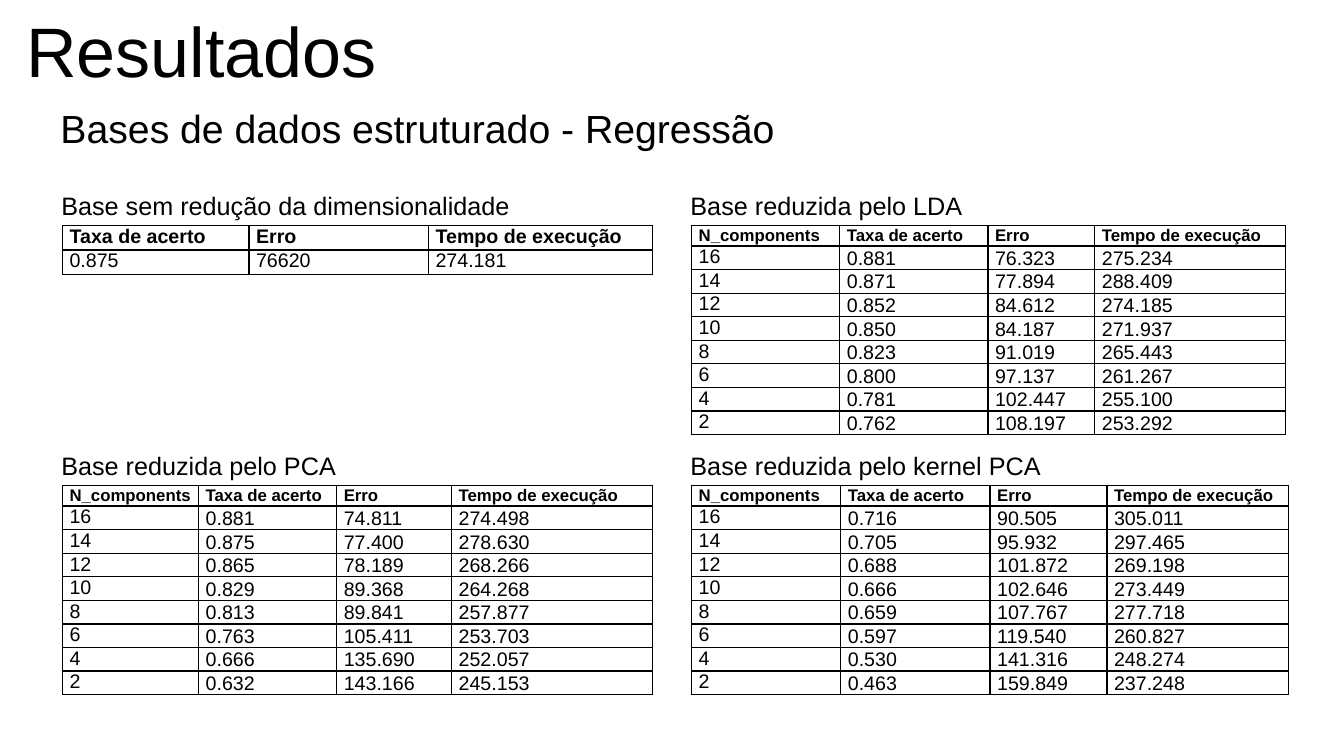
from pptx import Presentation
from pptx.dml.color import RGBColor
from pptx.enum.text import MSO_ANCHOR as Anchor, PP_ALIGN as Align
from pptx.oxml import parse_xml
from pptx.oxml.ns import nsdecls
from pptx.util import Inches, Pt

TITLE = "Resultados"
TOPIC = "Bases de dados estruturado - Regressão"
HEAD = ["Taxa de acerto", "Erro", "Tempo de execução"]
SIZES = ["16", "14", "12", "10", "8", "6", "4", "2"]
FULL = [("0.875", "76620", "274.181")]
LDA = [
    ("0.881", "76.323", "275.234"),
    ("0.871", "77.894", "288.409"),
    ("0.852", "84.612", "274.185"),
    ("0.850", "84.187", "271.937"),
    ("0.823", "91.019", "265.443"),
    ("0.800", "97.137", "261.267"),
    ("0.781", "102.447", "255.100"),
    ("0.762", "108.197", "253.292"),
]
PCA = [
    ("0.881", "74.811", "274.498"),
    ("0.875", "77.400", "278.630"),
    ("0.865", "78.189", "268.266"),
    ("0.829", "89.368", "264.268"),
    ("0.813", "89.841", "257.877"),
    ("0.763", "105.411", "253.703"),
    ("0.666", "135.690", "252.057"),
    ("0.632", "143.166", "245.153"),
]
KERNEL = [
    ("0.716", "90.505", "305.011"),
    ("0.705", "95.932", "297.465"),
    ("0.688", "101.872", "269.198"),
    ("0.666", "102.646", "273.449"),
    ("0.659", "107.767", "277.718"),
    ("0.597", "119.540", "260.827"),
    ("0.530", "141.316", "248.274"),
    ("0.463", "159.849", "237.248"),
]
PANELS = [
    ("Base sem redução da dimensionalidade", 0, 0, FULL, (1.85, 1.78, 2.22)),
    ("Base reduzida pelo PCA", 0, 1, PCA, (1.35, 1.37, 1.14, 1.99)),
    ("Base reduzida pelo LDA", 1, 0, LDA, (1.47, 1.47, 1.06, 1.89)),
    ("Base reduzida pelo kernel PCA", 1, 1, KERNEL, (1.48, 1.48, 1.16, 1.8)),
]

BLACK = RGBColor(0, 0, 0)
FONT = "Arial"
LEFT, TOP = 0.62, 2.24
STEP_X, STEP_Y = 6.24, 2.58
LABEL_W, LABEL_H, INSET = 4.66, 0.4, 0.11


def style(para, size, bold=False):
    for run in para.runs:
        font = run.font
        font.name, font.size, font.bold = FONT, Pt(size), bold
        font.color.rgb = BLACK


def place(shape, *box):
    shape.left, shape.top, shape.width, shape.height = map(Inches, box)


def border(cell):
    props = cell._tc.get_or_add_tcPr()
    for side in "LRTB":
        props.append(parse_xml(
            f'<a:ln{side} {nsdecls("a")} w="12700"><a:solidFill>'
            f'<a:srgbClr val="{BLACK}"/></a:solidFill></a:ln{side}>'))
    cell.fill.background()


def fill(cell, text, size, bold, anchor):
    border(cell)
    cell.margin_left = cell.margin_right = Inches(0.07)
    cell.margin_top = cell.margin_bottom = 0
    cell.vertical_anchor = anchor
    para = cell.text_frame.paragraphs[0]
    para.text = text
    para.alignment = Align.JUSTIFY
    style(para, size, bold)


def panel(slide, label, col, row, data, widths):
    x, y = LEFT + col * STEP_X, TOP + row * STEP_Y
    box = slide.shapes.add_textbox(
        *map(Inches, (x - INSET, y - LABEL_H, LABEL_W, LABEL_H)))
    box.text_frame.word_wrap = True
    box.text_frame.text = label
    style(box.text_frame.paragraphs[0], 18)

    wide = len(widths) > len(HEAD)
    if wide:
        lines = [["N_components", *HEAD]]
        lines += [[size, *vals] for size, vals in zip(SIZES, data)]
        heights = [0.2] + [0.234] * len(data)
    else:
        lines = [HEAD, *data]
        heights = [0.24] * len(lines)

    table = slide.shapes.add_table(
        len(lines), len(widths),
        *map(Inches, (x, y, sum(widths), sum(heights)))).table
    table.first_row = table.horz_banding = False
    for part, width in zip(table.columns, widths):
        part.width = Inches(width)
    for r, (line, height) in enumerate(zip(lines, heights)):
        table.rows[r].height = Inches(height)
        for c, text in enumerate(line):
            size = 12 if wide and r == 0 else 14
            low = wide and r > 0 and c > 0
            fill(table.cell(r, c), text, size, r == 0,
                 Anchor.BOTTOM if low else Anchor.TOP)


def main():
    deck = Presentation()
    deck.slide_width, deck.slide_height = Inches(13.33), Inches(7.5)
    slide = deck.slides.add_slide(deck.slide_layouts[1])

    title, body = slide.placeholders
    place(title, 0.16, 0.15, 3.84, 0.79)
    place(body, 0.5, 1.04, 11.5, 5)
    for shape, text, size in ((title, TITLE, 50), (body, TOPIC, 28)):
        shape.text_frame.text = text
        para = shape.text_frame.paragraphs[0]
        para.alignment = Align.LEFT
        para.line_spacing = 0.9
        style(para, size)
    title.text_frame.vertical_anchor = Anchor.MIDDLE
    para.space_before = Pt(10)
    props = para._p.get_or_add_pPr()
    props.set("marL", "0")
    props.set("indent", "0")
    props.append(parse_xml(f'<a:buNone {nsdecls("a")}/>'))

    for item in PANELS:
        panel(slide, *item)
    deck.save("out.pptx")


if __name__ == "__main__":
    main()
